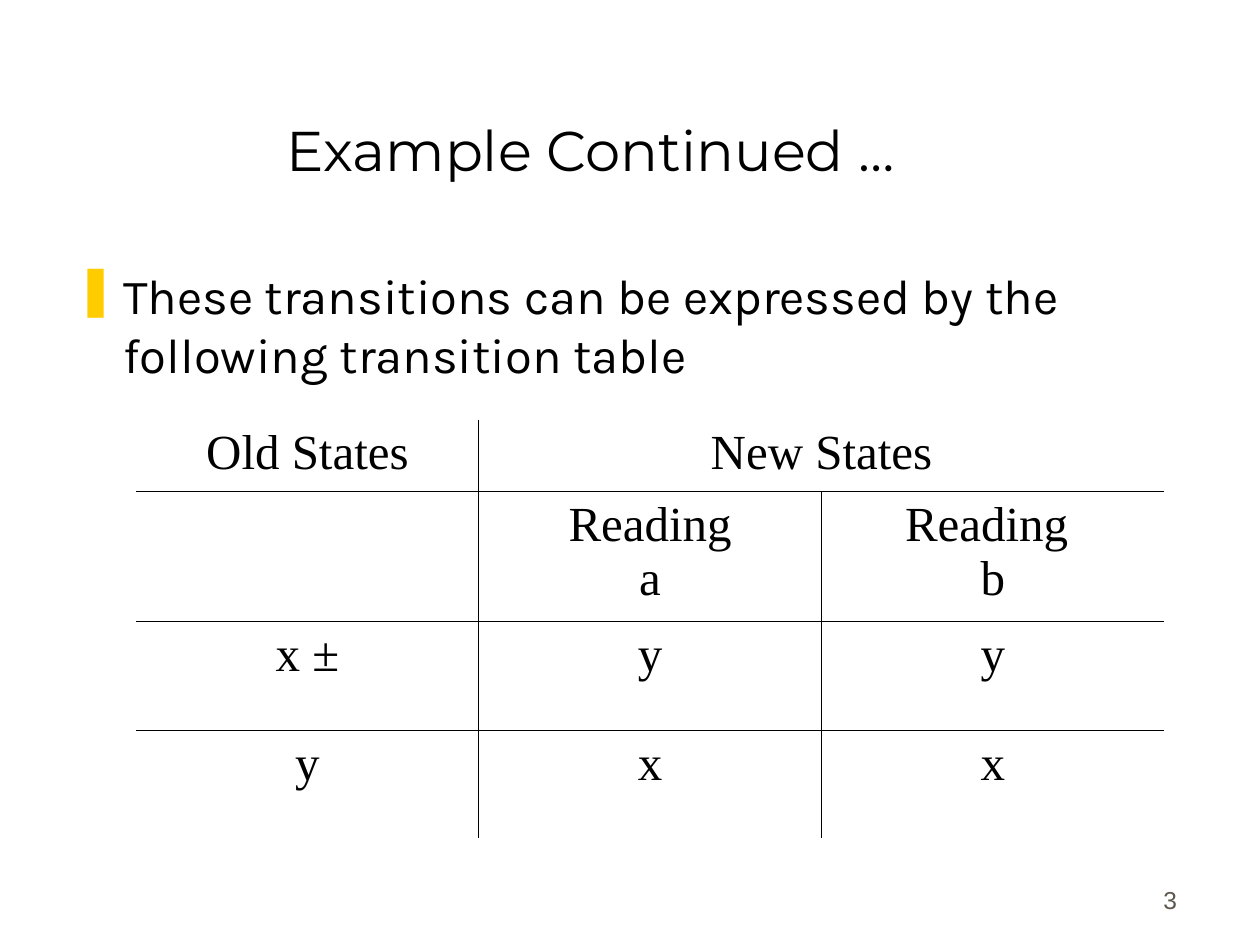
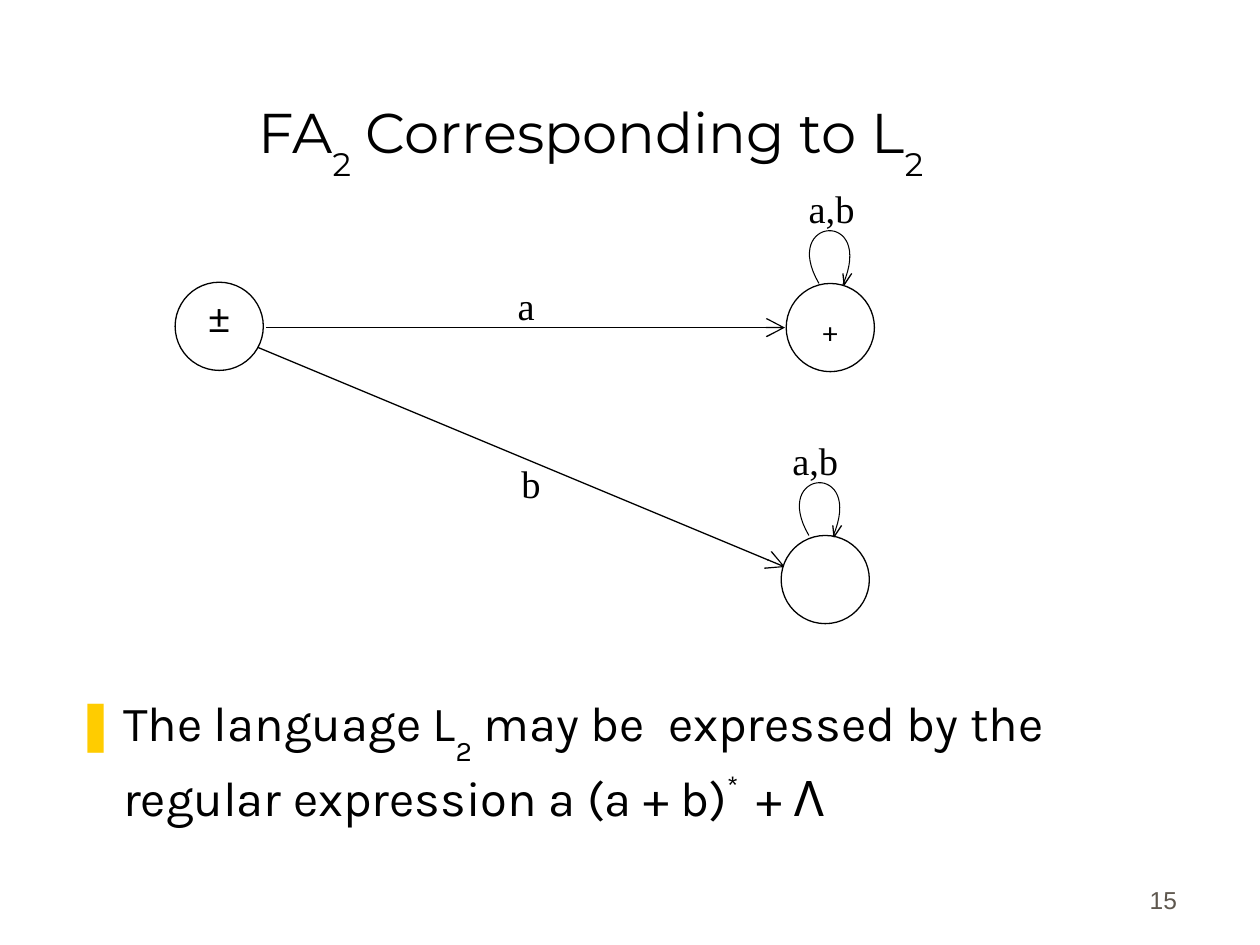
from lxml import etree
from pptx import Presentation
from pptx.dml.color import RGBColor
from pptx.enum.shapes import MSO_CONNECTOR, MSO_SHAPE
from pptx.enum.text import MSO_ANCHOR as ANCHOR, PP_ALIGN as ALIGN
from pptx.oxml.ns import qn
from pptx.util import Inches, Pt

W, H = 10, 7.5
BLACK, WHITE, GREY, YELLOW = "000000", "FFFFFF", "5E574E", "FFCC00"
TITLE_FONT, BODY_FONT, LABEL_FONT, PAGE_FONT = "Montserrat", "Karla", "Times New Roman", "Arial"
TITLE_BOX = (0.44, 0.25, 8.5, 1.25)
PAGE_BOX = (7.36, 6.81, 2.08, 0.5)
HANG = 0.38
SUB, SUP = -40, 40

# Runs are (text, baseline shift in percent)
TABLE_SLIDE = {
    "page": "3",
    "title": [("Example Continued …", 0)],
    "body_top": 2.06,
    "body": [("These transitions can be expressed by the following transition table", 0)],
}
FA_SLIDE = {
    "page": "15",
    "title": [("FA", 0), ("2", SUB), (" Corresponding to L", 0), ("2", SUB)],
    "body_top": 5.45,
    "body": [("The language L", 0), ("2", SUB),
             (" may be  expressed by the regular expression a (a + b)", 0),
             ("* ", SUP), (" + Λ", 0)],
}

# One list of lines per cell; None continues the cell to its left
TRANSITIONS = [
    [["Old States"], ["New States"], None],
    [[], ["Reading", "a"], ["Reading ", "b"]],
    [["x ±"], ["y"], ["y"]],
    [["y"], ["x"], ["x"]],
]
TABLE_LEFT, TABLE_TOP, COL_WIDTH = 1.08, 3.33, 2.72
ROW_HEIGHTS = [0.57, 1.03, 0.86, 0.86]

# States: left, top, sign, font, size, top inset, bottom inset
STATE_SIZE = 0.7
STATES = [
    (1.39, 2.24, "±", PAGE_FONT, 22, 0, 0.14),
    (6.24, 2.25, "+", BODY_FONT, 16, 0.05, 0),
    (6.2, 4.25, "", BODY_FONT, 16, 0, 0),
]
ARROWS = [((2.11, 2.6), (6.23, 2.6)), ((2.03, 2.75), (6.23, 4.5))]
LABELS = [("a", 4.01, 2.19), ("b", 4.04, 3.6), ("a,b", 6.32, 1.42), ("a,b", 6.19, 3.42)]
LOOP_STARTS = [(6.5, 2.25), (6.42, 4.25)]
LOOP_CURVE = [(0, 0), (-0.31, -0.53), (0.45, -0.59), (0.19, 0.01)]
LOOP_HEAD = [(0.19, -0.08), (0.2, 0.01), (0.26, -0.08)]


def rgb(color):
    return RGBColor.from_string(color)


def add_runs(p, runs, font, size, color=BLACK):
    for text, shift in runs:
        r = p.add_run()
        r.text = text
        r.font.name, r.font.size = font, Pt(size)
        r.font.color.rgb = rgb(color)
        if shift:
            r.font._element.set("baseline", str(shift * 1000))


def add_text(s, box, runs, font, size, color=BLACK, align=ALIGN.LEFT, anchor=ANCHOR.TOP):
    tf = s.shapes.add_textbox(*map(Inches, box)).text_frame
    tf.word_wrap, tf.vertical_anchor = True, anchor
    p = tf.paragraphs[0]
    p.alignment = align
    add_runs(p, runs, font, size, color)
    return p


def add_bullet(p):
    pPr = p._p.get_or_add_pPr()
    pPr.set("marL", str(Inches(HANG)))
    pPr.set("indent", str(-Inches(HANG)))
    color = etree.SubElement(pPr, qn("a:buClr"))
    etree.SubElement(color, qn("a:srgbClr"), val=YELLOW)
    etree.SubElement(pPr, qn("a:buChar"), char="❚")


def add_base(prs, content):
    """Adds a slide with its title, bulleted sentence and page number."""
    s = prs.slides.add_slide(prs.slide_layouts[6])
    add_text(s, PAGE_BOX, [(content["page"], 0)], PAGE_FONT, 14, GREY, ALIGN.RIGHT, ANCHOR.BOTTOM)
    add_text(s, TITLE_BOX, content["title"], TITLE_FONT, 32,
             align=ALIGN.CENTER, anchor=ANCHOR.BOTTOM)
    top = content["body_top"]
    p = add_text(s, (0.5, top, 8.92, 6.62 - top), content["body"], BODY_FONT, 28)
    p.space_before = Pt(7)
    add_bullet(p)
    return s


def set_borders(cell, edges):
    """Draws the named edges (L, R, T, B) and clears the others."""
    tcPr = cell._tc.get_or_add_tcPr()
    for i, edge in enumerate("LRTB"):
        ln = etree.Element(qn(f"a:ln{edge}"), w=str(Pt(0.45)))
        if edge in edges:
            fill = etree.SubElement(ln, qn("a:solidFill"))
            etree.SubElement(fill, qn("a:srgbClr"), val=BLACK)
        else:
            etree.SubElement(ln, qn("a:noFill"))
        tcPr.insert(i, ln)


def add_transition_table(s):
    rows, cols = len(TRANSITIONS), len(TRANSITIONS[0])
    table = s.shapes.add_table(rows, cols, Inches(TABLE_LEFT), Inches(TABLE_TOP),
                               Inches(COL_WIDTH * cols), Inches(sum(ROW_HEIGHTS))).table
    table.first_row = table.horz_banding = False
    for col in table.columns:
        col.width = Inches(COL_WIDTH)
    for i, (row, height) in enumerate(zip(TRANSITIONS, ROW_HEIGHTS)):
        table.rows[i].height = Inches(height)
        for j, lines in enumerate(row):
            cell = table.cell(i, j)
            cell.fill.background()
            inner = {"L": j > 0 and lines is not None,
                     "R": j < cols - 1 and row[j + 1] is not None,
                     "T": i > 0, "B": i < rows - 1}
            set_borders(cell, [edge for edge, drawn in inner.items() if drawn])
            if lines is None:
                table.cell(i, j - 1).merge(cell)
            for k, line in enumerate(lines or []):
                tf = cell.text_frame
                p = tf.add_paragraph() if k else tf.paragraphs[0]
                p.alignment = ALIGN.CENTER
                add_runs(p, [(line, 0)], LABEL_FONT, 28)


def set_line(shape, width=0.75):
    shape.line.color.rgb, shape.line.width = rgb(BLACK), Pt(width)


def add_state(s, left, top, sign, font, size, inset_top, inset_bottom):
    sp = s.shapes.add_shape(MSO_SHAPE.OVAL, Inches(left), Inches(top),
                            Inches(STATE_SIZE), Inches(STATE_SIZE))
    sp.shadow.inherit = False
    sp.fill.solid()
    sp.fill.fore_color.rgb = rgb(WHITE)
    set_line(sp)
    if sign:
        tf = sp.text_frame
        tf.margin_left = tf.margin_right = 0
        tf.margin_top, tf.margin_bottom = Inches(inset_top), Inches(inset_bottom)
        tf.vertical_anchor = ANCHOR.MIDDLE
        tf.paragraphs[0].alignment = ALIGN.CENTER
        add_runs(tf.paragraphs[0], [(sign, 0)], font, size)


def add_arrow(s, start, end):
    line = s.shapes.add_connector(MSO_CONNECTOR.STRAIGHT, *map(Inches, start + end))
    set_line(line)
    etree.SubElement(line.line._get_or_add_ln(), qn("a:tailEnd"), type="arrow", w="lg", len="lg")
    etree.SubElement(line._element.spPr, qn("a:effectLst"))


def bezier(points, steps=32):
    """Points along a cubic curve with the four given control points."""
    for t in (n / steps for n in range(steps + 1)):
        weights = ((1 - t) ** 3, 3 * t * (1 - t) ** 2, 3 * t * t * (1 - t), t ** 3)
        yield tuple(sum(w * pt[axis] for w, pt in zip(weights, points)) for axis in (0, 1))


def add_outline(s, origin, points, width):
    x, y = origin
    spots = [(Inches(x + dx), Inches(y + dy)) for dx, dy in points]
    builder = s.shapes.build_freeform(*spots[0])
    builder.add_line_segments(spots[1:], close=False)
    sp = builder.convert_to_shape()
    sp.shadow.inherit = False
    sp.fill.background()
    set_line(sp, width)


def add_automaton(s):
    for start, end in ARROWS:
        add_arrow(s, start, end)
    for state in STATES:
        add_state(s, *state)
    for text, left, top in LABELS:
        add_text(s, (left, top, 1.37, 0.51), [(text, 0)], LABEL_FONT, 22)
    for origin in LOOP_STARTS:
        add_outline(s, origin, bezier(LOOP_CURVE), 0.6)
        add_outline(s, origin, LOOP_HEAD, 0.75)


def main():
    prs = Presentation()
    prs.slide_width, prs.slide_height = Inches(W), Inches(H)
    add_transition_table(add_base(prs, TABLE_SLIDE))
    add_automaton(add_base(prs, FA_SLIDE))
    prs.save("out.pptx")


if __name__ == "__main__":
    main()
